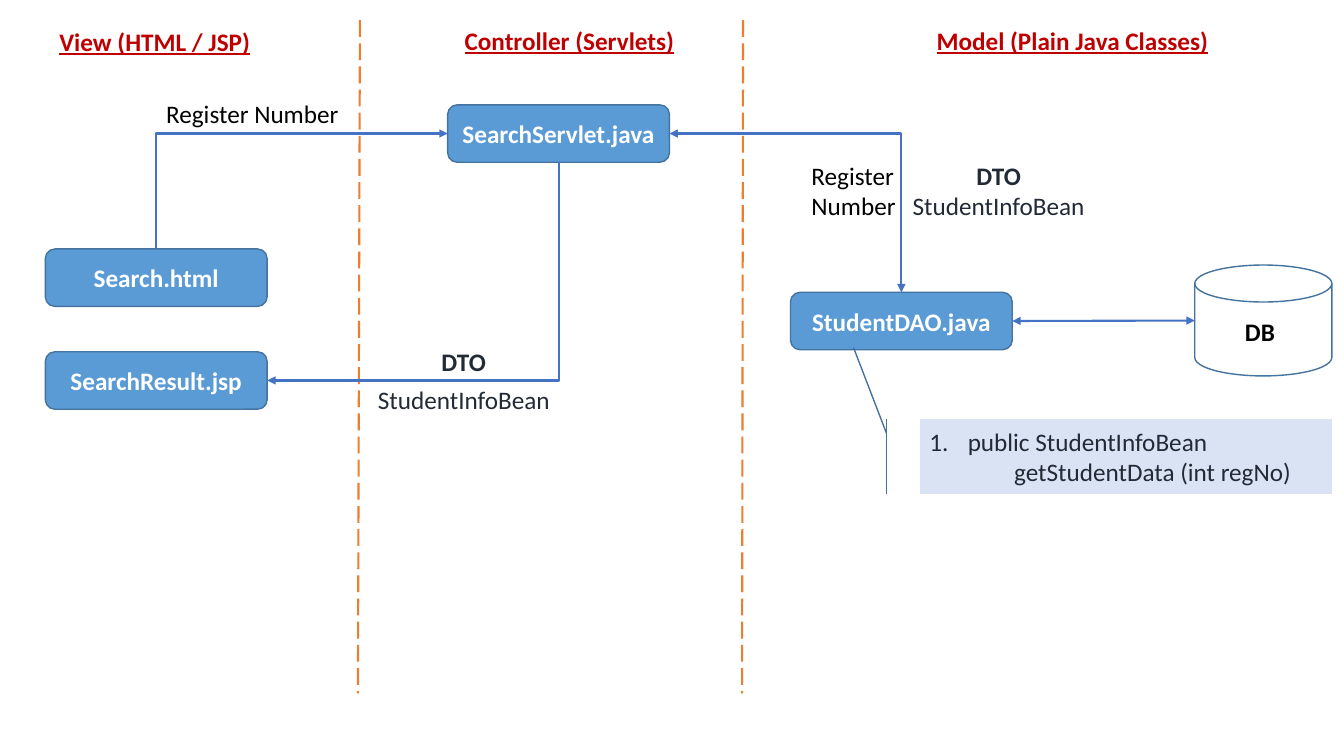
import pptx
import pptx.dml.color
import pptx.enum.dml
import pptx.enum.shapes
import pptx.enum.text
import pptx.oxml.ns
import pptx.util
from lxml import etree

Inches = pptx.util.Inches
Pt = pptx.util.Pt
qn = pptx.oxml.ns.qn
SHAPE = pptx.enum.shapes.MSO_SHAPE
CONNECTOR = pptx.enum.shapes.MSO_CONNECTOR
ALIGN = pptx.enum.text.PP_ALIGN

NODE_SIZE = (2.2, 0.57)
TOP, LEFT, BOTTOM, RIGHT = range(4)  # connection sites of a node
OUTLINE, ARROW, DIVIDER = "43739E", "4472C4", "ED7D31"
BASE = {"name": "Calibri", "size": Pt(18), "bold": False}
HEADING = {"bold": True, "underline": True}
BOLD = {"bold": True}


def apply(target, values):
    for name, value in values.items():
        setattr(target, name, value)


def paint(color_format, color):
    color_format.rgb = pptx.dml.color.RGBColor.from_string(color)


def write(paragraph, text, color, style):
    paragraph.text = text
    apply(paragraph.font, {**BASE, **style})
    paint(paragraph.font.color, color)


def add_label(slide, left, top, width, lines, color="000000", align=ALIGN.LEFT):
    """Place text given as (text, style) lines."""
    height = 0.1 + 0.3 * len(lines)
    label = slide.shapes.add_textbox(*map(Inches, (left, top, width, height)))
    frame = label.text_frame
    apply(frame, {"word_wrap": False,
                  "auto_size": pptx.enum.text.MSO_AUTO_SIZE.SHAPE_TO_FIT_TEXT})
    for index, (text, style) in enumerate(lines):
        paragraph = frame.add_paragraph() if index else frame.paragraphs[0]
        paragraph.alignment = align
        write(paragraph, text, color, style)


def add_outlined(slide, kind, box, fill=None):
    shape = slide.shapes.add_shape(kind, *map(Inches, box))
    shape.shadow.inherit = False
    if fill:
        shape.fill.solid()
        paint(shape.fill.fore_color, fill)
    else:
        shape.fill.background()
    paint(shape.line.color, OUTLINE)
    shape.line.width = Pt(1)
    return shape


def add_node(slide, left, top, file_name):
    node = add_outlined(slide, SHAPE.ROUNDED_RECTANGLE, (left, top, *NODE_SIZE), "5B9BD5")
    apply(node.text_frame, {"word_wrap": False,
                            "vertical_anchor": pptx.enum.text.MSO_ANCHOR.MIDDLE})
    paragraph = node.text_frame.paragraphs[0]
    paragraph.alignment = ALIGN.CENTER
    write(paragraph, file_name, "FFFFFF", BOLD)
    return node


def add_line(slide, start, end, color, kind=CONNECTOR.STRAIGHT):
    line = slide.shapes.add_connector(kind, *map(Inches, (*start, *end)))
    paint(line.line.color, color)
    line.line.width = Pt(1.5)
    etree.SubElement(line.element.spPr, qn("a:effectLst"))
    return line


def add_arrowheads(line, ends):
    outline = line.line._get_or_add_ln()
    for end in ends:
        etree.SubElement(outline, qn("a:" + end), type="triangle")


def add_elbow(slide, source, source_site, target, target_site, ends):
    """Join two nodes by one corner, leaving the source horizontally."""
    elbow = add_line(slide, (0, 0), (1, 1), ARROW, CONNECTOR.ELBOW)
    elbow.begin_connect(source, source_site)
    elbow.end_connect(target, target_site)
    elbow.element.spPr.find(qn("a:prstGeom")).set("prst", "bentConnector2")
    add_arrowheads(elbow, ends)


def add_divider(slide, top_x, bottom_x):
    divider = add_line(slide, (top_x, 0.2), (bottom_x, 6.88), DIVIDER)
    divider.line.dash_style = pptx.enum.dml.MSO_LINE.LONG_DASH


def add_view(slide, left, top):
    add_label(slide, left + 0.49, top + 0.01, 2.12, [("View (HTML / JSP)", HEADING)], "C00000")
    add_label(slide, left + 1.55, top + 0.73, 1.93, [("Register Number", {})])
    search = add_node(slide, left + 0.45, top + 2.27, "Search.html")
    result = add_node(slide, left + 0.45, top + 3.29, "SearchResult.jsp")
    return search, result


def add_controller(slide, left, top):
    add_label(slide, left + 0.95, top, 2.3, [("Controller (Servlets)", HEADING)], "C00000")
    add_label(slide, left + 0.72, top + 3.19, 0.65, [("DTO", BOLD)], "222A35")
    add_label(slide, left + 0.09, top + 3.56, 1.93, [("StudentInfoBean", {})], "222A35")
    return add_node(slide, left + 0.88, top + 0.84, "SearchServlet.java")


def add_model(slide, left, top):
    add_label(slide, left + 1.82, top, 2.92, [("Model (Plain Java Classes)", HEADING)], "C00000")
    add_label(slide, left + 0.58, top + 1.34, 1.09, [("Register", {}), ("Number", {})])
    add_label(slide, left + 1.57, top + 1.34, 1.93,
              [("DTO", BOLD), ("StudentInfoBean", {})], "222A35", ALIGN.CENTER)
    dao = add_node(slide, left + 0.47, top + 2.7, "StudentDAO.java")
    add_outlined(slide, SHAPE.FLOWCHART_MAGNETIC_DISK, (left + 4.48, top + 2.43, 1.36, 1.1))
    add_label(slide, left + 4.88, top + 2.89, 0.5, [("DB", BOLD)])
    middle = top + 2.98
    query = add_line(slide, (left + 2.67, middle), (left + 4.48, middle), ARROW)
    query.begin_connect(dao, RIGHT)
    add_arrowheads(query, ("headEnd", "tailEnd"))
    add_method_callout(slide, left + 1.75, top + 3.96)
    return dao


def add_method_callout(slide, left, top):
    callout = add_outlined(slide, SHAPE.LINE_CALLOUT_1_ACCENT_BAR,
                           (left, top, 4.09, 0.74), "DAE3F3")
    for index, value in enumerate((0.19, -0.08, -0.96, -0.16)):
        callout.adjustments[index] = value
    frame = callout.text_frame
    apply(frame, {"word_wrap": True, "vertical_anchor": pptx.enum.text.MSO_ANCHOR.MIDDLE})
    signature = (("public StudentInfoBean", 0.38, -0.38),
                 ("getStudentData (int regNo)", 0.84, 0))
    for index, (text, margin, indent) in enumerate(signature):
        paragraph = frame.add_paragraph() if index else frame.paragraphs[0]
        paragraph.alignment = ALIGN.LEFT
        properties = paragraph._p.get_or_add_pPr()
        properties.set("marL", str(Inches(margin)))
        properties.set("indent", str(Inches(indent)))
        if indent:
            etree.SubElement(properties, qn("a:buFont"), typeface="+mj-lt")
            etree.SubElement(properties, qn("a:buAutoNum"), type="arabicPeriod")
        write(paragraph, text, "222A35", {})


def main():
    deck = pptx.Presentation()
    apply(deck, {"slide_width": Inches(13.33), "slide_height": Inches(7.5)})
    slide = deck.slides.add_slide(deck.slide_layouts.get_by_name("Blank"))

    search, result = add_view(slide, 0, 0.2)
    servlet = add_controller(slide, 3.56, 0.2)
    dao = add_model(slide, 7.37, 0.2)
    add_divider(slide, 3.57, 3.55)
    add_divider(slide, 7.37, 7.36)

    add_elbow(slide, servlet, LEFT, search, TOP, ("headEnd",))
    add_elbow(slide, servlet, RIGHT, dao, TOP, ("headEnd", "tailEnd"))
    add_elbow(slide, result, RIGHT, servlet, BOTTOM, ("headEnd",))
    deck.save("out.pptx")


if __name__ == "__main__":
    main()
